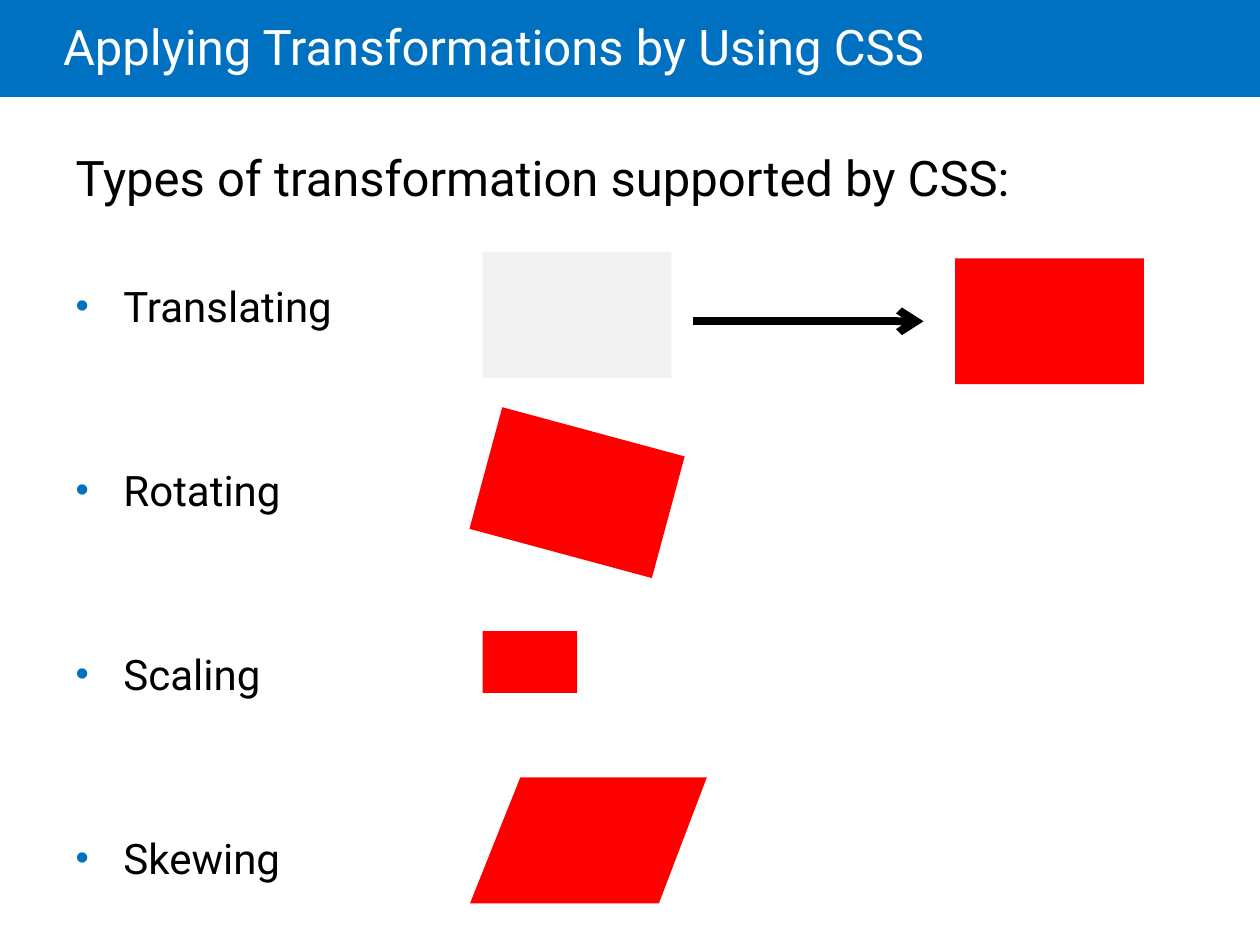
from dataclasses import dataclass

from lxml import etree
from pptx import Presentation
from pptx.dml.color import RGBColor
from pptx.enum.shapes import MSO_CONNECTOR, MSO_SHAPE
from pptx.enum.text import MSO_ANCHOR, MSO_AUTO_SIZE, PP_ALIGN
from pptx.oxml.ns import qn
from pptx.util import Inches, Pt

RECTANGLE = MSO_SHAPE.RECTANGLE
STRAIGHT = MSO_CONNECTOR.STRAIGHT
MIDDLE = MSO_ANCHOR.MIDDLE
TOP = MSO_ANCHOR.TOP
LEFT = PP_ALIGN.LEFT
NO_AUTOFIT = MSO_AUTO_SIZE.NONE

FONT = "Roboto"
BLUE = RGBColor(0x00, 0x70, 0xC0)
WHITE = RGBColor(0xFF, 0xFF, 0xFF)
BLACK = RGBColor(0x00, 0x00, 0x00)
GREY = RGBColor(0xF2, 0xF2, 0xF2)
RED = RGBColor(0xFF, 0x00, 0x00)

BULLET_INDENT = Inches(0.38)
FIRST_BULLET_GAP = 42.3
BULLET_GAP = 76.3


@dataclass(frozen=True)
class Box:
    left: float
    top: float
    width: float
    height: float
    color: RGBColor
    rotation: float = 0


HEADER = Box(0, 0, 10, 0.77, BLUE)
SAMPLES = [
    Box(3.83, 2, 1.5, 1, GREY),
    Box(7.58, 2.05, 1.5, 1, RED),
    Box(3.83, 3.41, 1.5, 1, RED, 15.1),
    Box(3.83, 5.01, 0.75, 0.49, RED),
]
SKEWED_OUTLINE = [(4.13, 6.17), (5.61, 6.17), (5.23, 7.17), (3.73, 7.17)]
TRANSFORMATIONS = ["Translating", "Rotating", "Scaling", "Skewing"]


def paint(shape, color: RGBColor) -> None:
    shape.shadow.inherit = False
    shape.fill.solid()
    shape.fill.fore_color.rgb = color
    shape.line.fill.background()


def add_box(slide, box: Box):
    shape = slide.shapes.add_shape(
        RECTANGLE, Inches(box.left), Inches(box.top), Inches(box.width), Inches(box.height)
    )
    shape.rotation = box.rotation
    paint(shape, box.color)
    return shape


def add_skewed(slide, outline: list[tuple[float, float]]) -> None:
    points = [(Inches(x), Inches(y)) for x, y in outline]
    builder = slide.shapes.build_freeform(*points[0])
    builder.add_line_segments(points[1:], close=True)
    paint(builder.convert_to_shape(), RED)


def add_arrow(slide, start: float, end: float, height: float) -> None:
    arrow = slide.shapes.add_connector(
        STRAIGHT, Inches(start), Inches(height), Inches(end), Inches(height)
    )
    arrow.line.color.rgb = BLACK
    arrow.line.width = Pt(4.5)
    etree.SubElement(arrow.line._get_or_add_ln(), qn("a:tailEnd"), type="arrow")
    etree.SubElement(arrow._element.spPr, qn("a:effectLst"))


def place(placeholder, left: float, top: float, width: float, height: float):
    placeholder.left, placeholder.top = Inches(left), Inches(top)
    placeholder.width, placeholder.height = Inches(width), Inches(height)
    frame = placeholder.text_frame
    frame.word_wrap = True
    frame.auto_size = NO_AUTOFIT
    return frame


def write(paragraph, text: str, size: float, color: RGBColor) -> None:
    paragraph.alignment = LEFT
    run = paragraph.add_run()
    run.text = text
    run.font.name = FONT
    run.font.size = Pt(size)
    run.font.color.rgb = color


def set_bullet(paragraph) -> None:
    properties = paragraph._p.get_or_add_pPr()
    properties.set("marL", str(BULLET_INDENT))
    properties.set("indent", str(-BULLET_INDENT))
    bullet_color = etree.SubElement(properties, qn("a:buClr"))
    etree.SubElement(bullet_color, qn("a:srgbClr"), val=str(BLUE))
    etree.SubElement(properties, qn("a:buSzPct"), val="90000")
    etree.SubElement(properties, qn("a:buFont"), typeface="Arial")
    etree.SubElement(properties, qn("a:buChar"), char="•")


def clear_bullet(paragraph) -> None:
    properties = paragraph._p.get_or_add_pPr()
    properties.set("marL", "0")
    properties.set("indent", "0")
    etree.SubElement(properties, qn("a:buNone"))


def fill_title(slide) -> None:
    frame = place(slide.shapes.title, 0.5, 0, 8.5, 0.81)
    frame.margin_left = 0
    frame.vertical_anchor = MIDDLE
    paragraph = frame.paragraphs[0]
    paragraph.line_spacing = 0.85
    write(paragraph, "Applying Transformations by Using CSS", 28, WHITE)


def fill_body(slide) -> None:
    frame = place(slide.placeholders[1], 0.5, 1.12, 8.88, 5.63)
    frame.vertical_anchor = TOP
    heading = frame.paragraphs[0]
    heading.space_before = Pt(0)
    clear_bullet(heading)
    write(heading, "Types of transformation supported by CSS:", 28, BLACK)
    for index, name in enumerate(TRANSFORMATIONS):
        paragraph = frame.add_paragraph()
        paragraph.space_before = Pt(BULLET_GAP if index else FIRST_BULLET_GAP)
        set_bullet(paragraph)
        write(paragraph, name, 24, BLACK)


def main() -> None:
    presentation = Presentation()
    presentation.slide_width = Inches(10)
    presentation.slide_height = Inches(7.5)
    slide = presentation.slides.add_slide(presentation.slide_layouts[1])

    header = add_box(slide, HEADER)
    slide.shapes.title._element.addprevious(header._element)
    fill_title(slide)
    fill_body(slide)
    for sample in SAMPLES:
        add_box(slide, sample)
    add_arrow(slide, 5.5, 7.33, 2.55)
    add_skewed(slide, SKEWED_OUTLINE)
    presentation.save("out.pptx")


if __name__ == "__main__":
    main()
